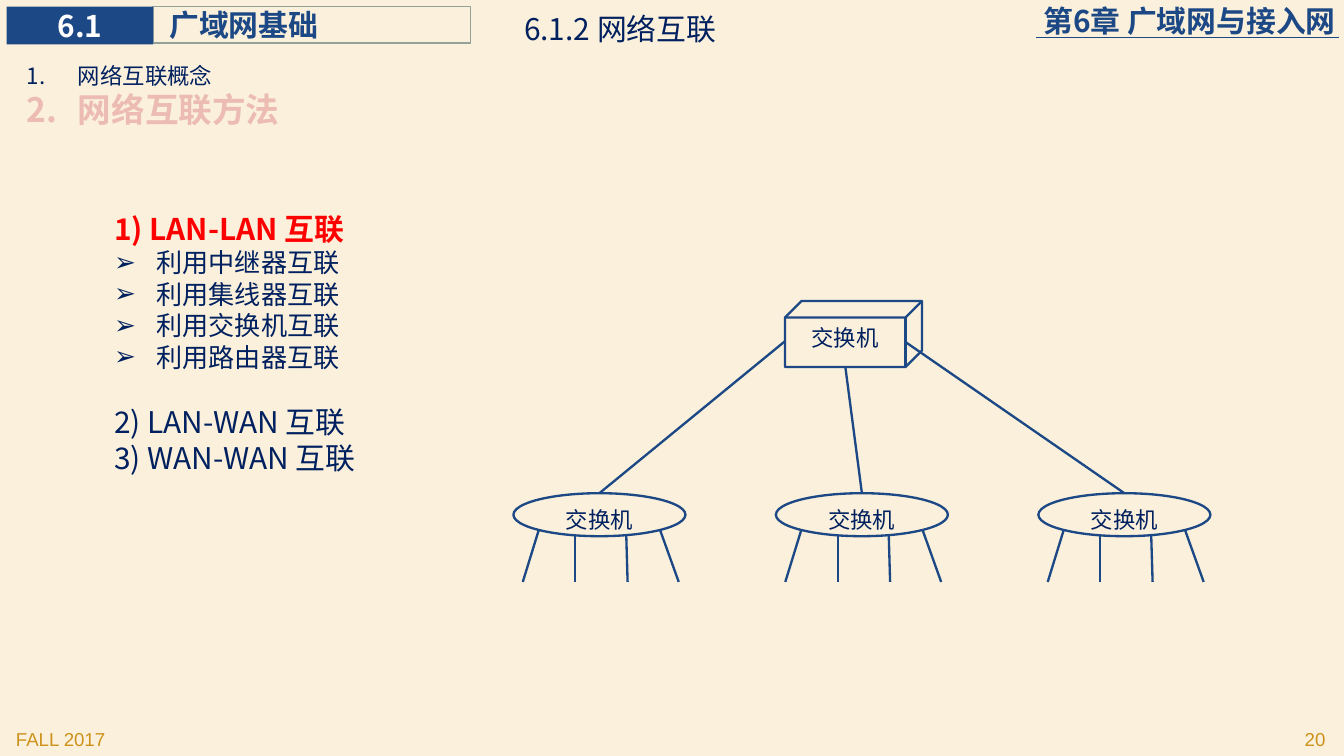
import pptx
import pptx.util
import pptx.dml.color
import pptx.enum.shapes
import pptx.enum.text
import pptx.oxml
import pptx.oxml.ns
from lxml import etree

COLORS = {"paper": "FAF0DB", "blue": "1C4885", "navy": "002060", "gold": "CD921B",
          "gray": "93A299", "white": "FFFFFF", "red": "FF0000",
          "pink": "ECBBB2", "rust": "CF543F"}
FONT = "Noto Sans CJK SC"
SHAPE = pptx.enum.shapes.MSO_SHAPE
ALIGN = pptx.enum.text.PP_ALIGN
ANCHOR = pptx.enum.text.MSO_ANCHOR
COLS = 100
ROWS = COLS * 9 / 16


def color(name):
    return pptx.dml.color.RGBColor.from_string(COLORS[name])


def add(parent, tag, **attrs):
    return etree.SubElement(parent, pptx.oxml.ns.qn(tag), **attrs)


class Deck:
    """Places elements on one slide; lengths are grid columns and rows."""

    def __init__(self):
        self.file = pptx.Presentation()
        self.file.slide_width = pptx.util.Inches(10)
        self.file.slide_height = self.file.slide_width * 9 // 16
        self.slide = self.file.slides.add_slide(self.file.slide_layouts[3])
        fill = self.slide.background.fill
        fill.solid()
        fill.fore_color.rgb = color("paper")

    def spot(self, col, row):
        return (round(col * self.file.slide_width / COLS),
                round(row * self.file.slide_height / ROWS))

    def frame(self, shape, inset=None, anchor=ANCHOR.TOP):
        frame = shape.text_frame
        frame.word_wrap = True
        frame.auto_size = pptx.enum.text.MSO_AUTO_SIZE.NONE
        frame.vertical_anchor = anchor
        if inset is not None:
            frame.margin_left = self.spot(inset, 0)[0]
            frame.margin_right = frame.margin_top = frame.margin_bottom = 0
        return frame

    def style(self, para, text, size, ink, bold=False, align=ALIGN.LEFT,
              face=FONT, gap=0, mark=None, hang=0, edge=None):
        para.text = text
        para.alignment = align
        para.line_spacing = pptx.util.Pt(size * 1.2)
        para.space_before = pptx.util.Pt(gap)
        props = para._p.get_or_add_pPr()
        width = self.spot(hang, 0)[0]
        props.set("marL", str(width))
        props.set("indent", str(-width))
        if mark == "1.":
            add(props, "a:buAutoNum", type="arabicPeriod")
        elif mark:
            add(props, "a:buChar", char=mark)
        else:
            add(props, "a:buNone")
        font = para.font
        font.size = pptx.util.Pt(size)
        font.bold = bold
        font.name = face
        font.color.rgb = color(ink)
        base = props.find(pptx.oxml.ns.qn("a:defRPr"))
        add(base, "a:ea", typeface=face)
        if edge:
            line = add(base, "a:ln", w=str(pptx.util.Pt(1.75)))
            add(add(line, "a:solidFill"), "a:srgbClr", val=COLORS[edge])
            base.insert(0, line)

    def holder(self, index, box, items):
        """Fill a template placeholder with (text, style) paragraphs."""
        shape = self.slide.placeholders[index]
        shape.left, shape.top = self.spot(*box[:2])
        shape.width, shape.height = self.spot(*box[2:])
        frame = self.frame(shape)
        for i, (text, look) in enumerate(items):
            para = frame.add_paragraph() if i else frame.paragraphs[0]
            self.style(para, text, **look)

    def label(self, box, text, inset=None, anchor=ANCHOR.TOP, **look):
        shape = self.slide.shapes.add_textbox(*self.spot(*box[:2]), *self.spot(*box[2:]))
        self.style(self.frame(shape, inset, anchor).paragraphs[0], text, **look)

    def block(self, kind, box, text, fill=None, line=None, width=1.25,
              inset=None, anchor=ANCHOR.TOP, **look):
        shape = self.slide.shapes.add_shape(kind, *self.spot(*box[:2]), *self.spot(*box[2:]))
        shape.shadow.inherit = False
        if fill:
            shape.fill.solid()
            shape.fill.fore_color.rgb = color(fill)
        else:
            shape.fill.background()
        if line:
            shape.line.color.rgb = color(line)
            shape.line.width = pptx.util.Pt(width)
        else:
            shape.line.fill.background()
        self.style(self.frame(shape, inset, anchor).paragraphs[0], text, **look)

    def wire(self, start, end, width=1.25):
        line = self.slide.shapes.add_connector(
            pptx.enum.shapes.MSO_CONNECTOR.STRAIGHT, *self.spot(*start), *self.spot(*end))
        line.line.color.rgb = color("blue")
        line.line.width = pptx.util.Pt(width)
        add(line._element.spPr, "a:effectLst")


def header(deck):
    head = dict(size=16, bold=True, anchor=ANCHOR.MIDDLE)
    deck.label((61.8, 0.2, 37.6, 2.7), "第6章 广域网与接入网", inset=0,
               ink="blue", align=ALIGN.RIGHT, **head)
    deck.wire((77.1, 2.8), (99.6, 2.8), 0.5)
    deck.block(SHAPE.RECTANGLE, (11.4, 0.5, 23.6, 2.7), "广域网基础", line="gray",
               width=0.75, inset=1.2, ink="blue", **head)
    deck.block(SHAPE.RECTANGLE, (0.5, 0.5, 10.9, 2.8), "6.1", fill="blue", inset=0,
               ink="white", align=ALIGN.CENTER, **head)


def footer(deck):
    foot = dict(size=10, ink="gold", face="Arial")
    deck.label((0.2, 53.7, 20.8, 2.3), "FALL 2017", **foot)
    deck.label((78.8, 53.7, 20.8, 2.3), "20", align=ALIGN.RIGHT, **foot)


def lists(deck):
    deck.holder(0, (38, 0.3, 27, 3.7), [("6.1.2 网络互联", dict(size=16, ink="navy"))])
    step = dict(mark="1.", hang=3.8)
    deck.holder(1, (1, 4.1, 23.4, 6), [
        ("网络互联概念", dict(size=12, ink="navy", **step)),
        ("网络互联方法", dict(size=18, ink="pink", bold=True, edge="rust", **step))])
    point = dict(size=14, ink="navy", mark="➢", hang=3.13)
    tools = ["中继器", "集线器", "交换机", "路由器"]
    deck.holder(2, (7.5, 15.2, 25.1, 23.5), [
        ("1) LAN-LAN 互联", dict(size=16, ink="red", bold=True)),
        *((f"利用{tool}互联", point) for tool in tools),
        ("2) LAN-WAN 互联", dict(size=16, ink="navy", gap=16.8)),
        ("3) WAN-WAN 互联", dict(size=16, ink="navy"))])


def network(deck):
    node = dict(text="交换机", line="blue", size=12, ink="navy", align=ALIGN.CENTER)
    left, top, pitch, wide, high = 38.2, 36.7, 19.53, 12.8, 3.2
    legs = [((1.9, 2.7), (0.7, 6.6)), ((4.6, 3.2), (4.6, 6.6)),
            ((8.4, 3.2), (8.5, 6.6)), ((10.9, 2.7), (12.3, 6.6))]
    ports = [(58.4, 25.4), (62.9, 27.3), (67.3, 25.4)]
    deck.block(SHAPE.CUBE, (58.4, 22.4, 10.2, 4.9), **node)
    for i, port in enumerate(ports):
        col = left + i * pitch
        deck.block(SHAPE.OVAL, (col, top, wide, high), **node)
        deck.wire(port, (col + wide / 2, top))
        for start, end in legs:
            deck.wire((col + start[0], top + start[1]), (col + end[0], top + end[1]))


def main():
    deck = Deck()
    header(deck)
    footer(deck)
    lists(deck)
    network(deck)
    deck.file.save("out.pptx")


if __name__ == "__main__":
    main()
